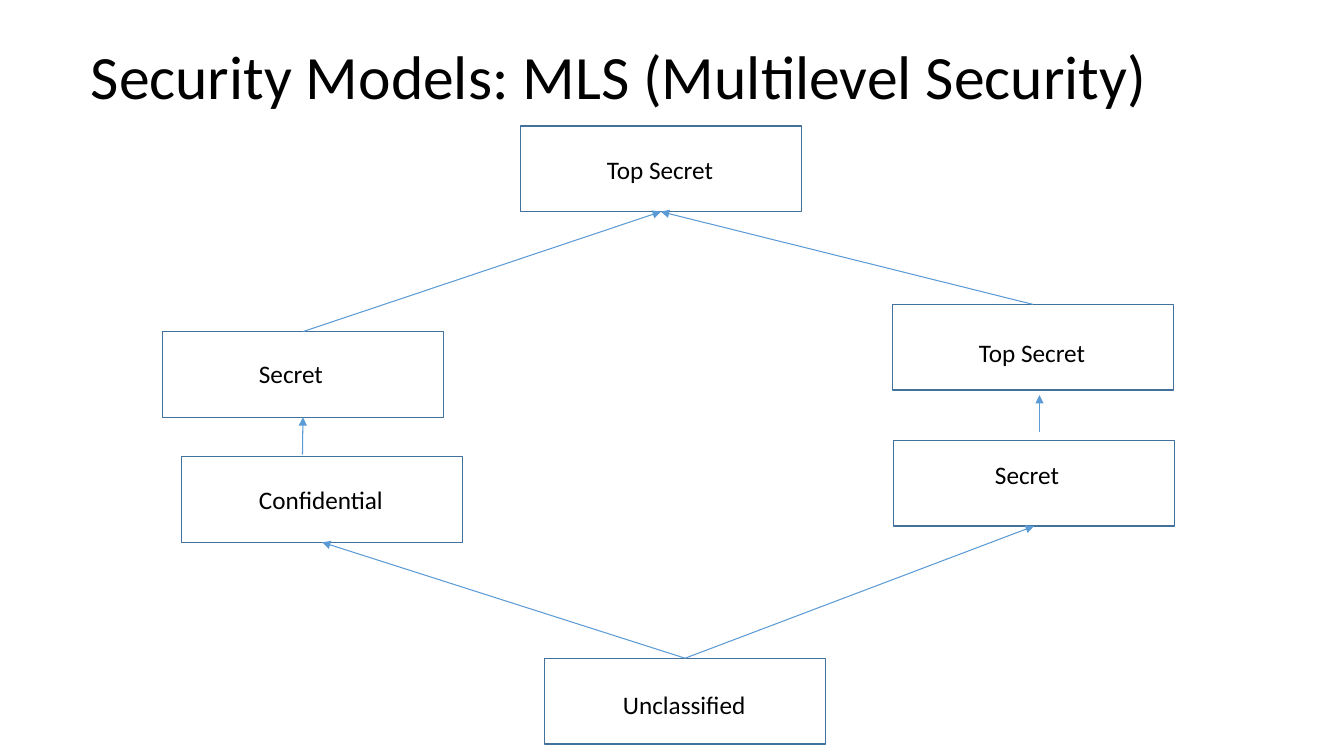
from dataclasses import dataclass

from lxml import etree
from pptx import Presentation
from pptx.dml.color import RGBColor
from pptx.enum.shapes import MSO_CONNECTOR, MSO_SHAPE
from pptx.enum.text import MSO_ANCHOR, PP_ALIGN
from pptx.oxml.ns import qn
from pptx.util import Inches, Pt

RECT = MSO_SHAPE.RECTANGLE
STRAIGHT = MSO_CONNECTOR.STRAIGHT
MIDDLE = MSO_ANCHOR.MIDDLE
LEFT = PP_ALIGN.LEFT
TOP, BOTTOM = 0, 2
BOX_W, BOX_H = 2.79, 0.85


@dataclass(frozen=True)
class Theme:
    font: str = "Calibri"
    ink: RGBColor = RGBColor(0, 0, 0)
    edge: RGBColor = RGBColor(0x42, 0x71, 0x9B)
    arrow: RGBColor = RGBColor(0x5B, 0x9B, 0xD5)
    title: Pt = Pt(44)
    label: Pt = Pt(18)
    border: Pt = Pt(1)
    stroke: Pt = Pt(0.75)


THEME = Theme()


def add_run(para, text, size):
    para.alignment = LEFT
    run = para.add_run()
    run.text = text
    run.font.name = THEME.font
    run.font.size = size
    run.font.color.rgb = THEME.ink


def set_title(slide, text):
    title = slide.shapes.title
    title.left, title.top = Inches(0.8), Inches(0.06)
    title.width, title.height = Inches(11.5), Inches(1.45)
    frame = title.text_frame
    frame.vertical_anchor = MIDDLE
    para = frame.paragraphs[0]
    para.line_spacing = 0.9
    add_run(para, text, THEME.title)


def add_box(slide, x, y):
    box = slide.shapes.add_shape(
        RECT, Inches(x), Inches(y), Inches(BOX_W), Inches(BOX_H))
    box.shadow.inherit = False
    box.fill.background()
    box.line.color.rgb = THEME.edge
    box.line.width = THEME.border
    return box


def add_label(slide, text, x, y, width):
    label = slide.shapes.add_textbox(
        Inches(x), Inches(y), Inches(width), Inches(0.4))
    frame = label.text_frame
    frame.word_wrap = True
    add_run(frame.paragraphs[0], text, THEME.label)


def add_arrow(slide, start, end, source=None, target=None):
    points = [Inches(value) for value in (*start, *end)]
    arrow = slide.shapes.add_connector(STRAIGHT, *points)
    if source is not None:
        arrow.begin_connect(source, TOP)
    if target is not None:
        arrow.end_connect(target, BOTTOM)
    arrow.line.color.rgb = THEME.arrow
    arrow.line.width = THEME.stroke
    line = arrow.line._get_or_add_ln()
    etree.SubElement(line, qn("a:tailEnd"), type="triangle")
    etree.SubElement(arrow._element.spPr, qn("a:effectLst"))


def main():
    deck = Presentation()
    deck.slide_width, deck.slide_height = Inches(13.33), Inches(7.5)
    slide = deck.slides.add_slide(deck.slide_layouts[5])
    set_title(slide, "Security Models: MLS (Multilevel Security)")

    spots = {
        "peak": (5.16, 1.25),
        "secret": (1.61, 3.29),
        "private": (1.8, 4.53),
        "base": (5.4, 6.53),
        "top": (8.85, 3.02),
        "lower": (8.86, 4.37),
    }
    boxes = {name: add_box(slide, *spot) for name, spot in spots.items()}

    labels = [
        ("Top Secret", 5.92, 1.48, 1.27),
        ("Secret", 2.47, 3.51, 0.84),
        ("Confidential", 2.47, 4.76, 1.45),
        ("Unclassified", 6.08, 6.79, 1.43),
        ("Top Secret", 9.61, 3.3, 1.27),
        ("Secret", 9.77, 4.51, 0.84),
    ]
    for label in labels:
        add_label(slide, *label)

    joins = [
        ("secret", "peak"),
        ("top", "peak"),
        ("base", "private"),
        ("base", "lower"),
    ]
    for low, high in joins:
        x, y = spots[low]
        end_x, end_y = spots[high]
        add_arrow(slide, (x + BOX_W / 2, y),
                  (end_x + BOX_W / 2, end_y + BOX_H),
                  boxes[low], boxes[high])
    add_arrow(slide, (3, 4.51), (3, 4.14), target=boxes["secret"])
    add_arrow(slide, (10.31, 4.29), (10.31, 3.92))

    deck.save("out.pptx")


if __name__ == "__main__":
    main()
